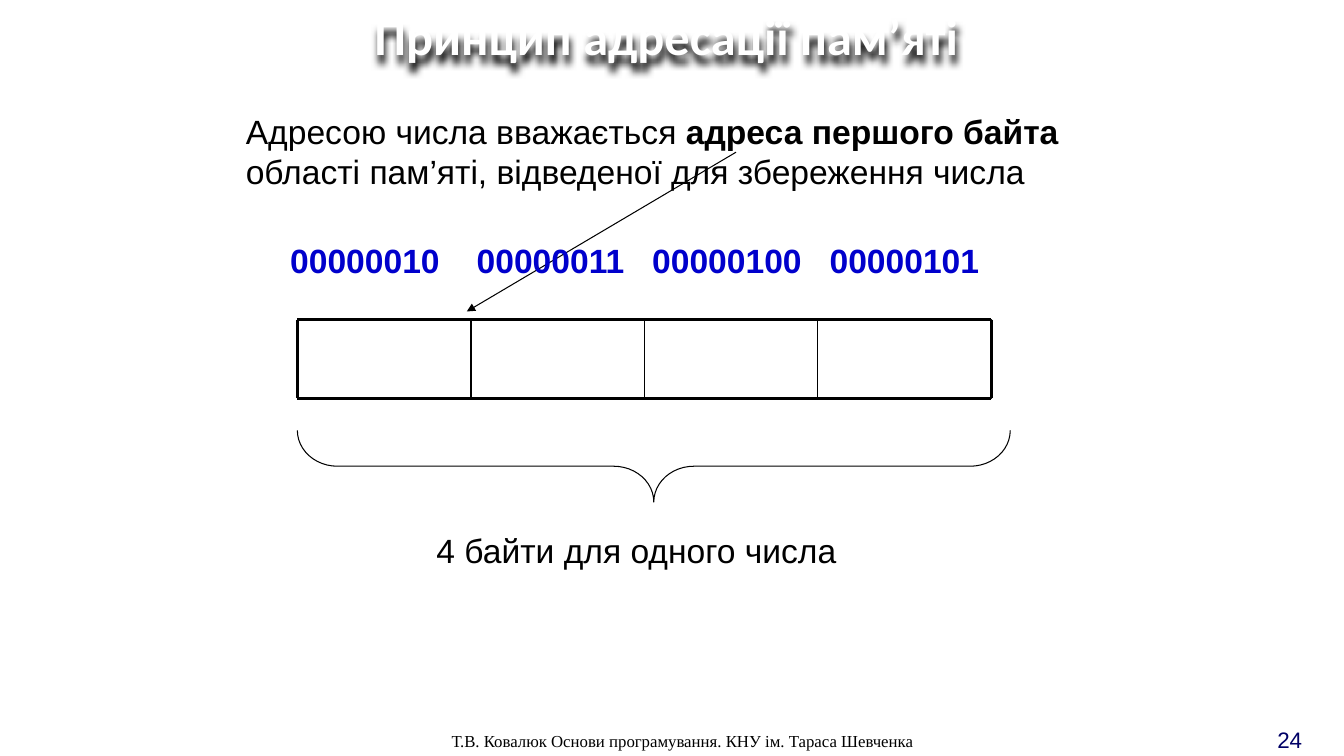
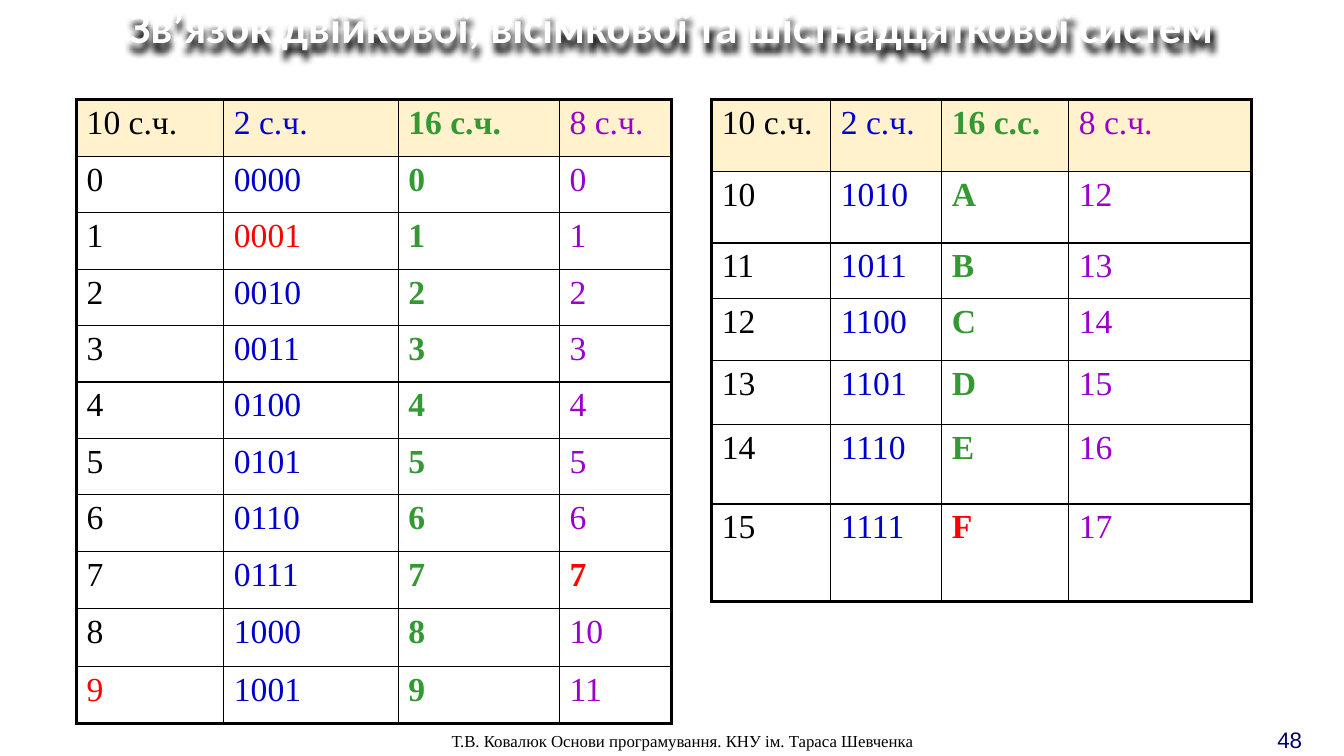
from pptx import Presentation
from pptx import util as u
from pptx.dml.color import RGBColor
from pptx.enum import shapes, text
from pptx.oxml import ns, xmlchemy

BLACK, WHITE, RED = "000000", "FFFFFF", "FF0000"
BLUE, GREEN, PURPLE, NAVY, CREAM = "0000CC", "339933", "9900CC", "000066", "FFF2CC"
SANS, SERIF, TITLE_FONT = "Arial", "Times New Roman", "Calibri"
FOOTER = "Т.В. Ковалюк Основи програмування. КНУ ім. Тараса Шевченка"
HEX_DIGITS = "0123456789АBCDEF"
HIGHLIGHTS = {(1, 1), (9, 0), (7, 3), (15, 2)}


def rgb(value):
    return RGBColor.from_string(value)


def add_xml(parent, tag, **attributes):
    child = xmlchemy.OxmlElement(tag)
    for name, value in attributes.items():
        child.set(name, str(value))
    parent.append(child)
    return child


def write(paragraph, words, size=24, color=BLACK, font=SANS, bold=False):
    run = paragraph.add_run()
    run.text = words
    run.font.size = u.Pt(size)
    run.font.name = font
    run.font.bold = bold
    run.font.color.rgb = rgb(color)


class Deck:
    """Holds the shared style and the slide being drawn."""

    def __init__(self):
        self.presentation = Presentation()
        self.presentation.slide_width = u.Inches(13.33)
        self.presentation.slide_height = u.Inches(7.5)
        self.slide = None

    def new_slide(self, number):
        self.slide = self.presentation.slides.add_slide(self.presentation.slide_layouts[6])
        self.label(12.57, 7.15, 0.54, 0.3, str(number), size=16, color=NAVY)
        self.label(4.38, 7.2, 6.72, 0.3, FOOTER, size=12, font=SERIF)

    def text_box(self, left, top, width, height, wrap=True):
        box = self.slide.shapes.add_textbox(*map(u.Inches, (left, top, width, height)))
        box.text_frame.word_wrap = wrap
        return box

    def label(self, left, top, width, height, words, wrap=True, **style):
        box = self.text_box(left, top, width, height, wrap)
        write(box.text_frame.paragraphs[0], words, **style)
        return box

    def title(self, words, left, width, height, size, spacing=1.0):
        heading = self.label(left, 0, width, height, words,
                             size=size, color=WHITE, font=TITLE_FONT, bold=True)
        line = heading.text_frame.paragraphs[0]
        line.alignment = text.PP_ALIGN.CENTER
        line.line_spacing = spacing
        effects = add_xml(heading._element.spPr, "a:effectLst")
        shadow = add_xml(effects, "a:outerShdw", blurRad=u.Pt(4), dist=u.Pt(5),
                         dir=5400000, algn="t", rotWithShape=0)
        add_xml(shadow, "a:srgbClr", val=BLACK)

    def outline(self, kind, left, top, width, height):
        shape = self.slide.shapes.add_shape(kind, *map(u.Inches, (left, top, width, height)))
        shape.shadow.inherit = False
        shape.fill.background()
        shape.line.color.rgb = rgb(BLACK)
        shape.line.width = u.Pt(0.75)
        return shape

    def line(self, x1, y1, x2, y2, weight, arrow=False):
        connector = self.slide.shapes.add_connector(
            shapes.MSO_CONNECTOR.STRAIGHT, *map(u.Inches, (x1, y1, x2, y2)))
        connector.line.color.rgb = rgb(BLACK)
        connector.line.width = u.Pt(weight)
        if arrow:
            add_xml(connector.line._get_or_add_ln(), "a:tailEnd", type="triangle")
        add_xml(connector._element.spPr, "a:effectLst")

    def borders(self, cell, thick_sides):
        properties = cell._tc.get_or_add_tcPr()
        for side in "LRTB":
            weight = 2.25 if side in thick_sides else 1
            edge = add_xml(properties, f"a:ln{side}", w=u.Pt(weight))
            add_xml(add_xml(edge, "a:solidFill"), "a:srgbClr", val=BLACK)

    def number_table(self, left, top, widths, heights, headings, numbers):
        frame = self.slide.shapes.add_table(
            len(heights), len(widths), *map(u.Inches, (left, top, sum(widths), sum(heights))))
        table = frame.table
        for column, width in zip(table.columns, widths):
            column.width = u.Inches(width)
        for row, height in zip(table.rows, heights):
            row.height = u.Inches(height)
        rows = [headings] + [(str(n), f"{n:04b}", HEX_DIGITS[n], f"{n:o}") for n in numbers]
        for r, values in enumerate(rows):
            for c, value in enumerate(values):
                marked = r > 0 and (numbers[r - 1], c) in HIGHLIGHTS
                cell = table.cell(r, c)
                sides = {"T": r == 0, "B": r == len(rows) - 1,
                         "L": c == 0, "R": c == len(widths) - 1}
                self.borders(cell, [side for side, outer in sides.items() if outer])
                cell.fill.solid()
                cell.fill.fore_color.rgb = rgb(WHITE if r else CREAM)
                write(cell.text_frame.paragraphs[0], value, font=SERIF,
                      color=RED if marked else (BLACK, BLUE, GREEN, PURPLE)[c],
                      bold=c == 2 or (marked and c == 3))


def memory_slide(deck):
    deck.new_slide(24)
    definition = deck.text_box(2.34, 1.04, 8.74, 0.91).text_frame
    definition.vertical_anchor = text.MSO_ANCHOR.MIDDLE
    sentence = definition.paragraphs[0]
    write(sentence, "Адресою числа вважається ")
    write(sentence, "адреса першого байта", bold=True)
    write(sentence, " області пам’яті, відведеної для збереження числа")

    left, top, bottom, byte_width, count = 2.95, 3.17, 3.95, 1.72, 4
    edges = [left + i * byte_width for i in range(count + 1)]
    for edge in edges[:-1]:
        deck.outline(shapes.MSO_SHAPE.RECTANGLE, edge, top, byte_width, bottom - top)
    for edge in edges:
        deck.line(edge, top, edge, bottom, 2.25 if edge in (edges[0], edges[-1]) else 1)
    for y in (top, bottom):
        deck.line(edges[0], y, edges[-1], y, 2.25)
    deck.line(7.3, 1.51, 4.63, 3.09, 0.75, arrow=True)

    brace = deck.outline(shapes.MSO_SHAPE.LEFT_BRACE, 6.13, 1.09, 0.71, 7.07)
    brace.rotation = 270
    brace.adjustments[0] = 0.56
    brace.adjustments[1] = 0.5
    deck.label(4.23, 5.21, 4.19, 0.5, "4 байти для одного числа", wrap=False)

    addresses = deck.label(2.78, 2.33, 7.24, 0.5,
                           "\t".join(f"{n:08b}" for n in range(2, 6)), color=BLUE, bold=True)
    paragraph = addresses.text_frame.paragraphs[0]
    tabs = add_xml(paragraph._p.get_or_add_pPr(), "a:tabLst")
    for stop in (1.85, 3.59, 5.35):
        add_xml(tabs, "a:tab", pos=u.Inches(stop), algn="l")
    deck.title("Принцип адресації пам’яті", -0.11, 13.44, 0.71, 36)


def systems_slide(deck):
    deck.new_slide(48)
    deck.number_table(0.76, 0.99, [1.46, 1.73, 1.6, 1.11], [0.56] * 8 + [0.57] * 3,
                      ("10 с.ч.", "2 с.ч.", "16 с.ч.", "8 с.ч."), range(10))
    deck.number_table(7.06, 0.99, [1.18, 1.1, 1.26, 1.81],
                      [0.71, 0.71, 0.55, 0.62, 0.63, 0.79, 0.97],
                      ("10 с.ч.", "2 с.ч.", "16 с.с.", "8 с.ч."), range(10, 16))
    deck.title("Зв’язок двійкової, вісімкової та шістнадцяткової систем",
               0, 13.33, 0.59, 32, spacing=0.9)


def main():
    deck = Deck()
    memory_slide(deck)
    systems_slide(deck)
    deck.presentation.save("out.pptx")


if __name__ == "__main__":
    main()
